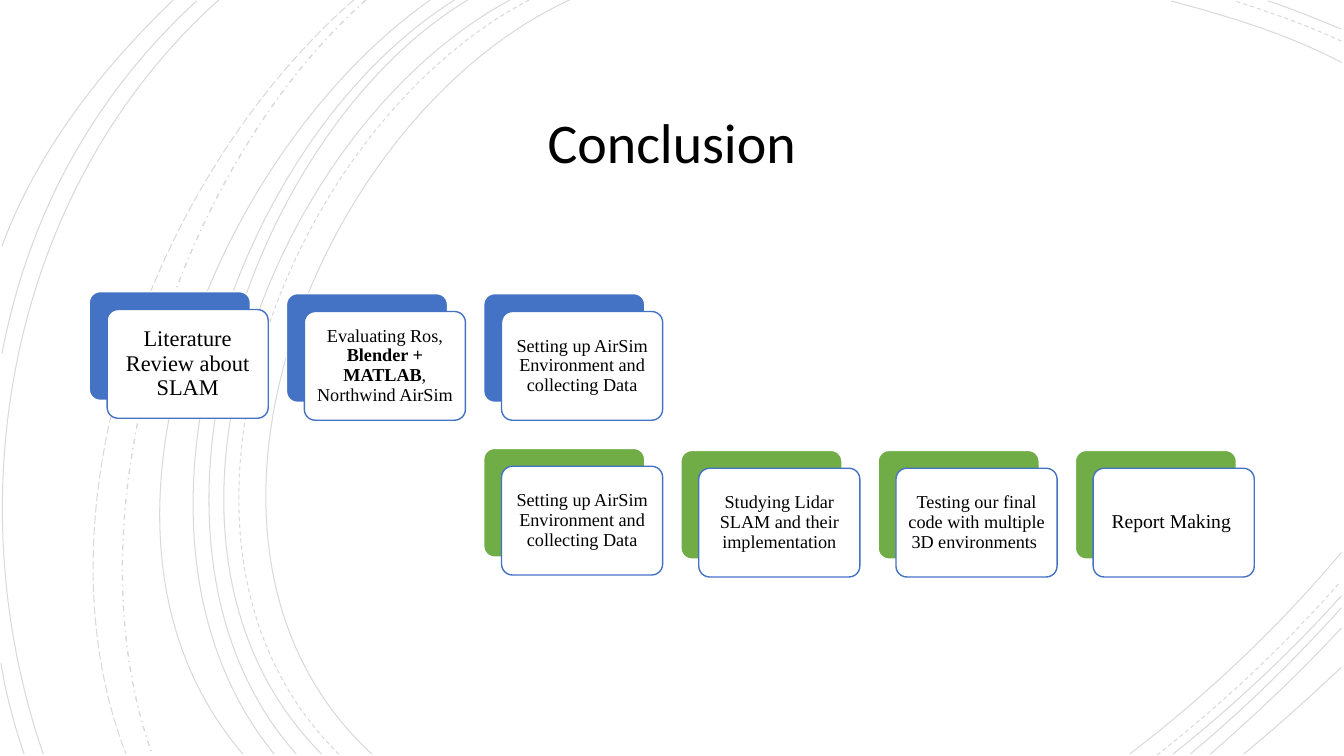
from lxml import etree
from pptx import Presentation
from pptx.dml.color import RGBColor
from pptx.enum.dml import MSO_LINE
from pptx.enum.shapes import MSO_SHAPE
from pptx.enum.text import MSO_ANCHOR, PP_ALIGN
from pptx.oxml.ns import qn
from pptx.util import Cm, Pt

BLACK = RGBColor(0x00, 0x00, 0x00)
WHITE = RGBColor(0xFF, 0xFF, 0xFF)
BLUE = RGBColor(0x44, 0x72, 0xC4)
GREEN = RGBColor(0x70, 0xAD, 0x47)
SOLID, DASH = MSO_LINE.SOLID, MSO_LINE.DASH
DASH_DOT, LONG_DASH = MSO_LINE.DASH_DOT, MSO_LINE.LONG_DASH
ROUNDED = MSO_SHAPE.ROUNDED_RECTANGLE
MIDDLE, CENTER = MSO_ANCHOR.MIDDLE, PP_ALIGN.CENTER
CM_PER_INCH = 2.54


def write(shape, runs, size, font, margin):
    frame = shape.text_frame
    frame.word_wrap = True
    frame.vertical_anchor = MIDDLE
    frame.margin_left = frame.margin_right = margin
    frame.margin_top = frame.margin_bottom = margin
    paragraph = frame.paragraphs[0]
    paragraph.alignment = CENTER
    paragraph.line_spacing = 0.9
    for words, bold in runs:
        run = paragraph.add_run()
        run.text = words
        run.font.size = Pt(size)
        run.font.name = font
        run.font.bold = bold
        run.font.color.rgb = BLACK


deck = Presentation()
deck.slide_width, deck.slide_height = Cm(33.87), Cm(19.05)
slide = deck.slides.add_slide(deck.slide_layouts[6])
shapes = slide.shapes

arcs = [
    ((5.65, 0), (3.15, 1.15), (1.43, 5.4), (3.69, 7.48), SOLID, 0.75),
    ((13.31, 0.62), (12.78, 0.34), (12.18, 0.16), (11.62, 0.01), SOLID, 0.75),
    ((11.21, 7.48), (11.97, 6.9), (12.69, 6.22), (13.31, 5.48), SOLID, 0.75),
    ((5.25, 0), (2.85, 1.25), (1.23, 5.37), (3.36, 7.48), DASH, 0.75),
    ((13.31, 0.41), (12.97, 0.25), (12.6, 0.12), (12.25, 0.01), DASH, 0.75),
    ((11.48, 7.49), (12.13, 6.98), (12.75, 6.4), (13.3, 5.77), DASH, 0.75),
    ((5.06, 0), (2.7, 1.27), (1.1, 5.37), (3.19, 7.48), SOLID, 0.75),
    ((13.31, 0.29), (13.07, 0.19), (12.83, 0.09), (12.58, 0.01), SOLID, 0.75),
    ((11.64, 7.48), (12.23, 7.01), (12.8, 6.48), (13.31, 5.91), SOLID, 0.75),
    ((4.64, 0), (2.44, 1.33), (1.1, 5.41), (2.94, 7.48), SOLID, 0.75),
    ((11.81, 7.48), (12.34, 7.04), (12.84, 6.55), (13.31, 6.03), SOLID, 0.75),
    ((4.51, 0), (2.31, 1.38), (0.97, 5.33), (2.72, 7.48), SOLID, 0.75),
    ((12.01, 7.48), (12.46, 7.09), (12.9, 6.67), (13.31, 6.23), SOLID, 0.75),
    ((4.27, 0), (2.17, 1.47), (0.53, 5.29), (2.41, 7.48), SOLID, 0.75),
    ((12.34, 7.48), (12.67, 7.21), (12.99, 6.92), (13.31, 6.62), SOLID, 0.75),
    ((3.63, 0), (1.76, 1.66), (0.65, 5.09), (1.51, 7.48), DASH_DOT, 1),
    ((3.51, 0), (1.57, 1.69), (0.29, 4.99), (1.25, 7.48), LONG_DASH, 0.75),
    ((2.17, 0), (0.11, 1.85), (-0.46, 4.9), (0.43, 7.48), SOLID, 0.75),
    ((1.95, 0.01), (0.92, 0.96), (0.28, 2.14), (0.02, 3.51), SOLID, 0.75),
    ((0.01, 6.58), (0.06, 6.89), (0.14, 7.19), (0.24, 7.48), SOLID, 0.75),
    ((1.72, 0), (1, 0.69), (0.37, 1.5), (0.02, 2.44), SOLID, 0.75),
]
for *controls, dash, width in arcs:
    points = [(Cm(x * CM_PER_INCH), Cm(y * CM_PER_INCH)) for x, y in controls]
    builder = shapes.build_freeform(*points[0])
    builder.add_line_segments(points[1:], close=False)
    arc = builder.convert_to_shape()
    segments = list(arc._element.iter(qn("a:lnTo")))
    bezier = etree.SubElement(segments[0].getparent(), qn("a:cubicBezTo"))
    for segment in segments:
        bezier.append(segment[0])
        segment.getparent().remove(segment)
    arc.shadow.inherit = False
    arc.fill.background()
    arc.line.color.rgb = BLACK
    arc.line.width = Pt(width)
    arc.line.dash_style = dash
    ink = next(arc._element.spPr.iter(qn("a:srgbClr")))
    etree.SubElement(ink, qn("a:alpha")).set("val", "15000")

title = shapes.add_textbox(Cm(4.88), Cm(2.21), Cm(24.1), Cm(2.92))
write(title, [("Conclusion", False)], 40, "Calibri", Cm(0.13))

setup = [("Setting up AirSim Environment and collecting Data", False)]
tools = [
    ("Evaluating Ros, ", False),
    ("Blender + MATLAB", True),
    (", Northwind AirSim", False),
]
steps = [
    (1, 7.4, BLUE, 13, tools),
    (2, 7.4, BLUE, 13, setup),
    (0, 7.35, BLUE, 16, [("Literature Review about SLAM", False)]),
    (3, 11.35, GREEN, 13, [("Studying Lidar SLAM and their implementation", False)]),
    (4, 11.35, GREEN, 13,
     [("Testing our final code with multiple 3D environments ", False)]),
    (2, 11.3, GREEN, 13, setup),
    (5, 11.35, GREEN, 14, [("Report Making ", False)]),
]
for column, top, accent, size, runs in steps:
    left = 2.25 + 4.97 * column
    for offset, fill, outline in ((0, accent, WHITE), (0.45, WHITE, BLUE)):
        card = shapes.add_shape(
            ROUNDED, Cm(left + offset), Cm(top + offset), Cm(4.06), Cm(2.74))
        card.adjustments[0] = 0.1
        card.shadow.inherit = False
        card.fill.solid()
        card.fill.fore_color.rgb = fill
        card.line.color.rgb = outline
        card.line.width = Pt(1)
    write(card, runs, size, "Times New Roman", Cm(0.15))

deck.save("out.pptx")
